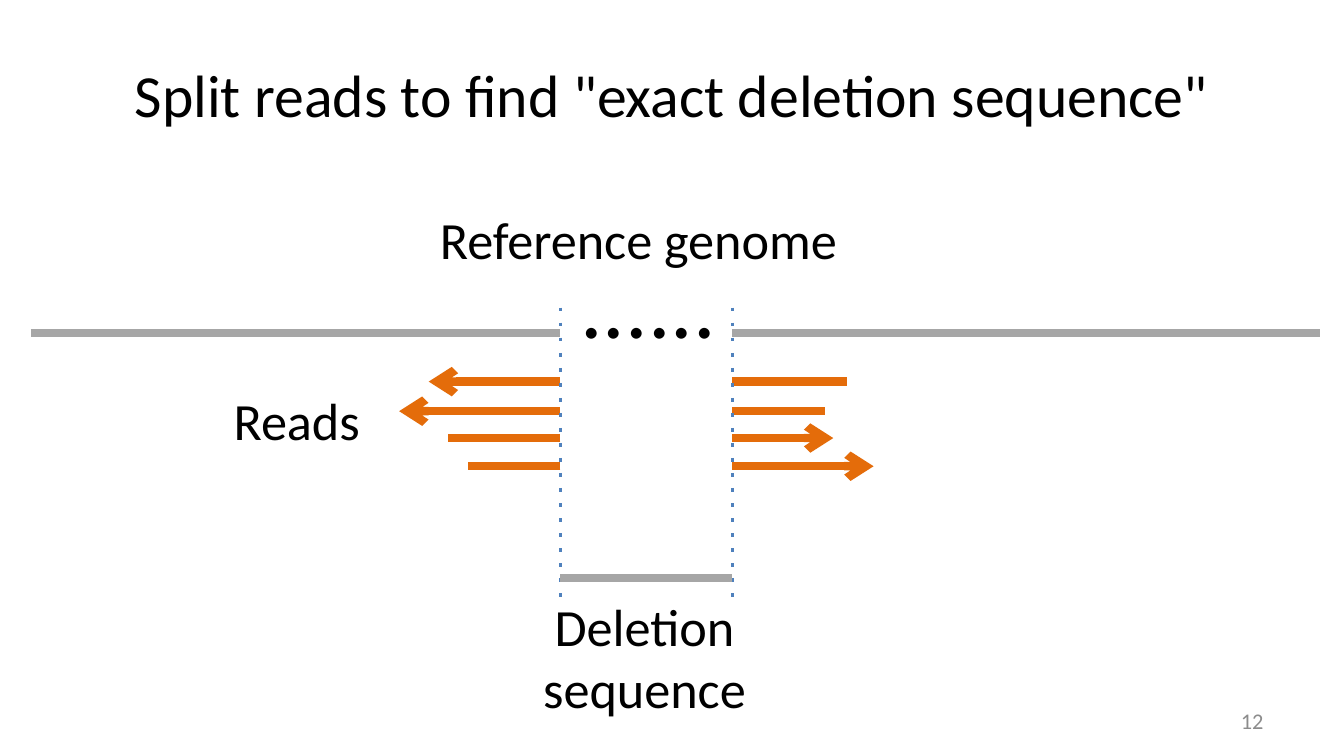
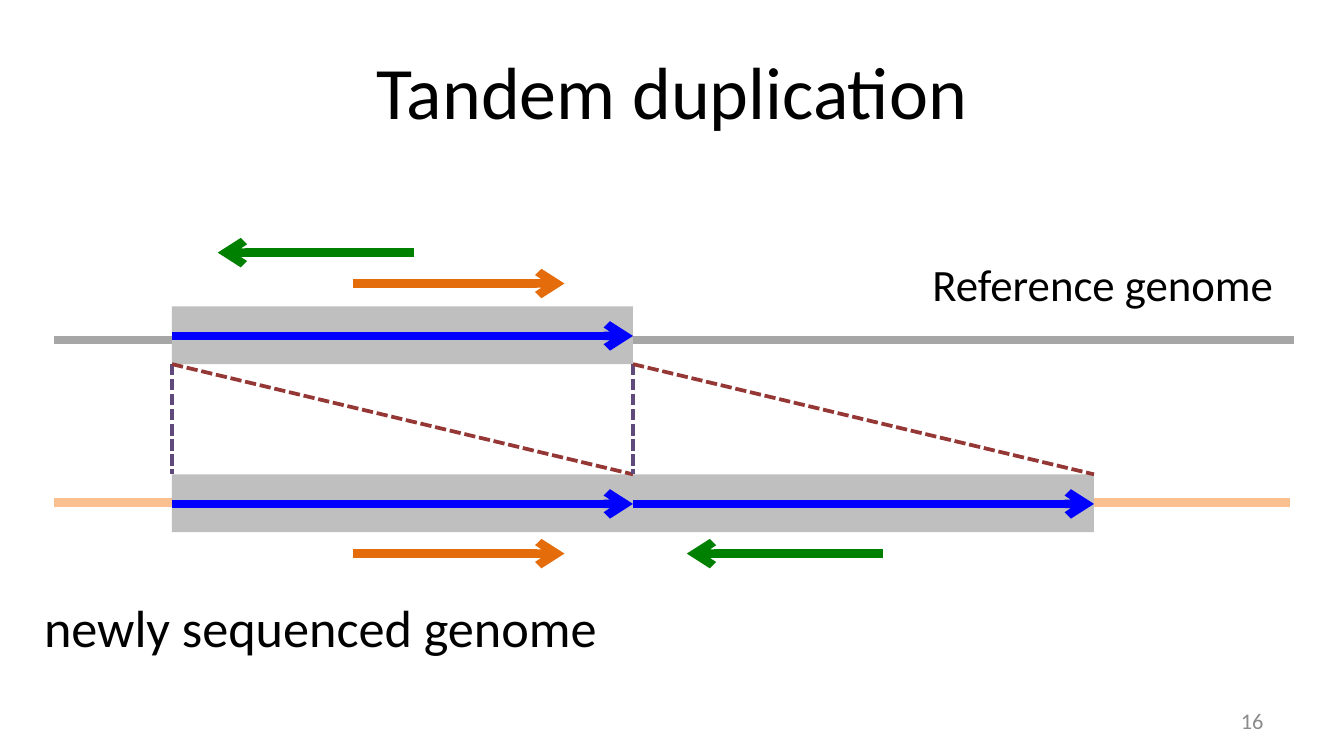
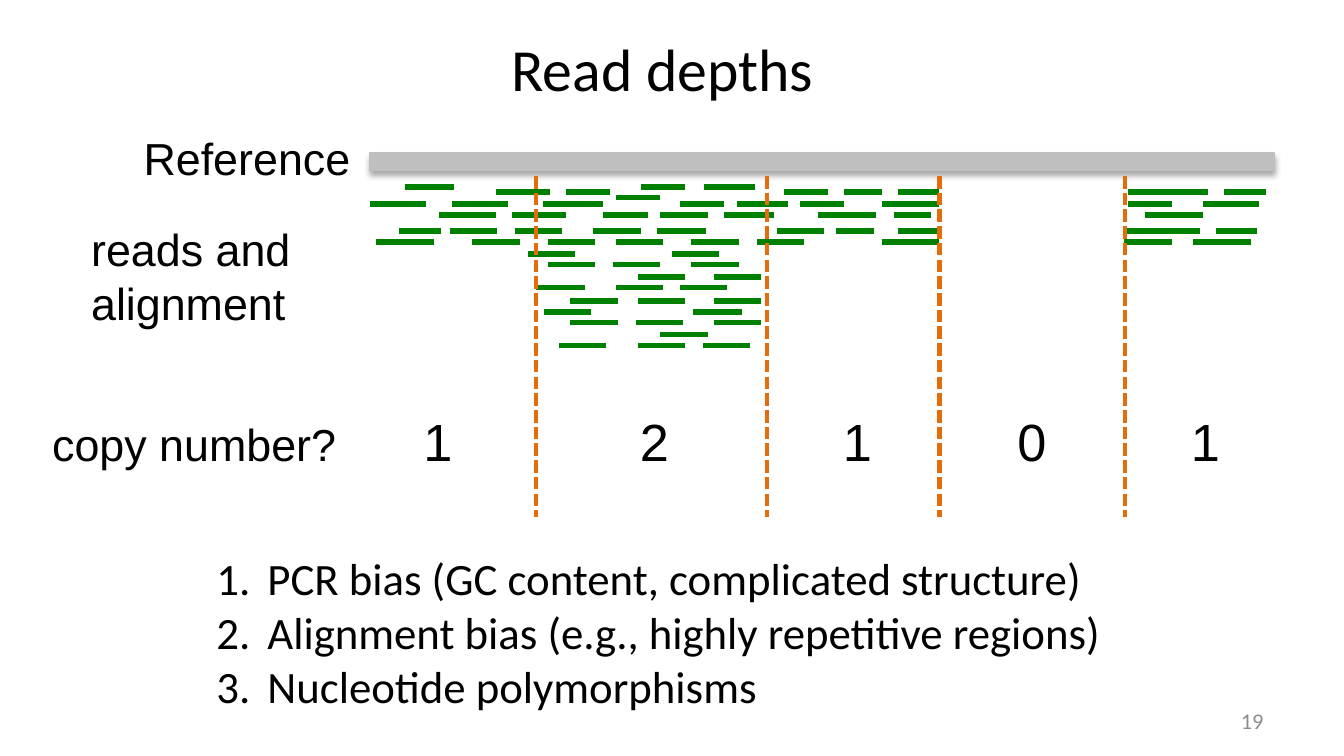
from lxml.etree import SubElement
from pptx import Presentation
from pptx.dml.color import RGBColor
from pptx.enum.shapes import MSO_CONNECTOR, MSO_SHAPE
from pptx.enum.text import MSO_ANCHOR, MSO_AUTO_SIZE, PP_ALIGN
from pptx.oxml.ns import qn
from pptx.util import Cm, Pt

BLACK, MID_GRAY, LIGHT_GRAY = "000000", "A6A6A6", "BFBFBF"
NUMBER_GRAY = "8C8C8C"
ORANGE, PEACH, GREEN, BLUE = "E46C0A", "FAC090", "008000", "0000FF"
STEEL, PURPLE, RED = "4F81BD", "604A7B", "953735"

TITLE_ONLY, TITLE_AND_BODY = 5, 1
THICK = 4.5

# Read start and end positions, by height of the row
READ_ROWS = {
    1.39: [(3.01, 3.38), (4.77, 5.1), (5.24, 5.62)],
    1.43: [(3.69, 4.09), (4.21, 4.54), (5.83, 6.16), (6.28, 6.56), (6.68, 6.99),
           (6.85, 6.99), (8.39, 8.72), (8.71, 8.99), (8.85, 8.99), (9.11, 9.42)],
    1.47: [(4.58, 4.91)],
    1.52: [(2.75, 3.17), (3.36, 3.78), (4.04, 4.49), (5.06, 5.39), (5.48, 5.86),
           (5.95, 6.28), (6.56, 6.99), (8.39, 8.72), (8.95, 9.37)],
    1.6: [(3.27, 3.69), (3.81, 4.21), (4.49, 4.82), (4.91, 5.27), (5.39, 5.76),
          (6.09, 6.52), (6.65, 6.93), (8.52, 8.95)],
    1.72: [(2.97, 3.28), (3.35, 3.7), (3.83, 4.18), (4.41, 4.77), (4.89, 5.25),
           (5.78, 6.13), (6.22, 6.5), (6.68, 6.99), (6.85, 6.99), (8.36, 8.72),
           (8.65, 8.93), (8.79, 8.93), (9.05, 9.35)],
    1.8: [(2.8, 3.23), (3.51, 3.87), (4.08, 4.43), (4.58, 4.93), (5.14, 5.5),
          (5.63, 5.98), (6.56, 6.99), (8.36, 8.72), (8.88, 9.31)],
    1.89: [(3.93, 4.28), (5, 5.35)],
    1.97: [(4.08, 4.43), (4.56, 4.91), (5.14, 5.5)],
    2.06: [(4.75, 5.1), (5.31, 5.66)],
    2.14: [(3.99, 4.35), (4.58, 4.93), (5.06, 5.41)],
    2.24: [(4.24, 4.6), (4.75, 5.1), (5.31, 5.66)],
    2.32: [(4.05, 4.4), (5.16, 5.52)],
    2.4: [(4.24, 4.6), (4.73, 5.08), (5.31, 5.66)],
    2.49: [(4.91, 5.27)],
    2.57: [(4.16, 4.51), (4.75, 5.1), (5.23, 5.58)],
}


def rgb(color):
    return RGBColor.from_string(color)


def grid(units):
    """Length on the slide grid, whose unit is 2.54 cm."""
    return Cm(2.54 * units)


def place(sp, left, top, width, height):
    sp.left, sp.top = grid(left), grid(top)
    sp.width, sp.height = grid(width), grid(height)


def add_run(p, text, size=24, font="Calibri", color=BLACK):
    r = p.add_run()
    r.text = text
    r.font.size, r.font.name = Pt(size), font
    r.font.color.rgb = rgb(color)


def add_text(s, text, left, top, width, height, align=PP_ALIGN.LEFT,
             anchor=MSO_ANCHOR.TOP, wrap=True, **run_format):
    """Add a text box and return its paragraph."""
    tf = s.shapes.add_textbox(*map(grid, (left, top, width, height))).text_frame
    tf.word_wrap, tf.vertical_anchor = wrap, anchor
    p = tf.paragraphs[0]
    p.alignment = align
    add_run(p, text, **run_format)
    return p


def add_line(s, start, end, color, width=THICK, dash=None, arrow=False):
    c = s.shapes.add_connector(MSO_CONNECTOR.STRAIGHT, *map(grid, start + end))
    c.line.color.rgb = rgb(color)
    c.line.width = Pt(width)
    sp_pr = c._element.spPr
    ln = sp_pr.find(qn("a:ln"))
    if dash:
        SubElement(ln, qn("a:prstDash"), val=dash)
    if arrow:
        SubElement(ln, qn("a:tailEnd"), type="arrow")
    SubElement(sp_pr, qn("a:effectLst"))


def add_bar(s, left, top, width, height):
    sp = s.shapes.add_shape(MSO_SHAPE.RECTANGLE,
                            *map(grid, (left, top, width, height)))
    sp.shadow.inherit = False
    sp.fill.solid()
    sp.fill.fore_color.rgb = rgb(LIGHT_GRAY)
    sp.line.fill.background()
    return sp


def add_drop_shadow(sp):
    effects = sp._element.spPr.find(qn("a:effectLst"))
    shadow = SubElement(effects, qn("a:outerShdw"), blurRad=str(Pt(3.1)),
                        dist=str(Pt(1.8)), dir="5400000", rotWithShape="0")
    color = SubElement(shadow, qn("a:srgbClr"), val=BLACK)
    SubElement(color, qn("a:alpha"), val="35000")


def add_slide(prs, title, number, box, size=32, layout=TITLE_ONLY):
    s = prs.slides.add_slide(prs.slide_layouts[layout])
    place(s.shapes.title, *box)
    tf = s.shapes.title.text_frame
    tf.auto_size, tf.vertical_anchor = MSO_AUTO_SIZE.NONE, MSO_ANCHOR.MIDDLE
    p = tf.paragraphs[0]
    p.alignment = PP_ALIGN.CENTER
    add_run(p, title, size=size)
    add_text(s, str(number), 7.17, 5.21, 2.33, 0.3, align=PP_ALIGN.RIGHT,
             anchor=MSO_ANCHOR.MIDDLE, size=12, color=NUMBER_GRAY)
    return s


def fill_numbered_list(sp, items):
    tf = sp.text_frame
    tf.auto_size, tf.vertical_anchor = MSO_AUTO_SIZE.NONE, MSO_ANCHOR.TOP
    for i, item in enumerate(items):
        p = tf.add_paragraph() if i else tf.paragraphs[0]
        p_pr = p._p.get_or_add_pPr()
        p_pr.set("marL", str(grid(0.38)))
        p_pr.set("indent", str(-grid(0.38)))
        SubElement(p_pr, qn("a:buFont"), typeface="+mj-lt")
        SubElement(p_pr, qn("a:buAutoNum"), type="arabicPeriod")
        p.space_before = Pt(0)
        add_run(p, item)


def add_center_tabs(p, positions):
    tabs = SubElement(p._p.get_or_add_pPr(), qn("a:tabLst"))
    for pos in positions:
        SubElement(tabs, qn("a:tab"), pos=str(grid(pos)), algn="ctr")


def split_reads_slide(prs):
    s = add_slide(prs, 'Split reads to find "exact deletion sequence"', 12,
                  (0.5, 0.23, 9, 0.94))
    left, right, genome_y = 4.17, 5.45, 2.48
    add_line(s, (0.23, genome_y), (left, genome_y), MID_GRAY)
    add_line(s, (right, genome_y), (9.82, genome_y), MID_GRAY)
    add_text(s, "......", 4.22, 1.8, 1.22, 0.91, wrap=False, size=48)
    add_text(s, "Reference genome", 2.95, 1.49, 3.6, 0.57,
             align=PP_ALIGN.CENTER, size=28)

    # Row height, outer ends of both parts, and whether the left part has the arrow
    for y, left_end, right_end, left_arrow in [
            (2.84, 3.19, 6.3, True), (3.06, 2.97, 6.14, True),
            (3.26, 3.33, 6.2, False), (3.47, 3.48, 6.5, False)]:
        add_line(s, (left, y), (left_end, y), ORANGE, arrow=left_arrow)
        add_line(s, (right, y), (right_end, y), ORANGE, arrow=not left_arrow)

    for x in (left, right):
        add_line(s, (x, 2.29), (x, 4.52), STEEL, width=2, dash="dot")
    add_line(s, (left, 4.3), (right, 4.3), MID_GRAY)
    add_text(s, "Deletion sequence", 3.87, 4.37, 1.85, 1.04,
             align=PP_ALIGN.CENTER, size=28)
    add_text(s, "Reads", 1.64, 2.84, 1.33, 0.57, size=28)


def tandem_duplication_slide(prs):
    s = add_slide(prs, "Tandem duplication", 16, (0.5, 0.29, 9, 0.76), size=39.6)
    first, length, height = 1.28, 3.43, 0.43
    second = first + length
    upper, lower = 2.28, 3.53
    add_line(s, (0.4, 3.74), (9.6, 3.74), PEACH)
    add_line(s, (0.4, 2.53), (9.63, 2.53), MID_GRAY)
    add_text(s, "Reference genome", 6.84, 1.86, 2.84, 0.5, wrap=False)

    segments = [(first, upper), (first, lower), (second, lower)]
    for x, y in segments:
        add_bar(s, x, y, length, height)
    for x, y in segments:
        add_line(s, (x, y + 0.22), (x + length, y + 0.22), BLUE, arrow=True)
    for x in (first, second):
        top = (x, upper + height)
        add_line(s, top, (x, lower), PURPLE, width=2, dash="sysDash")
        add_line(s, top, (x + length, lower), RED, width=2, dash="sysDash")

    for start, end, y, color in [
            (3.08, 1.62, 1.88, GREEN), (2.63, 4.2, 2.11, ORANGE),
            (2.63, 4.2, 4.12, ORANGE), (6.57, 5.11, 4.12, GREEN)]:
        add_line(s, (start, y), (end, y), color, arrow=True)
    add_text(s, "newly sequenced genome", 0.23, 4.38, 4.36, 0.57,
             wrap=False, size=28)


def read_depths_slide(prs):
    s = add_slide(prs, "Read depths", 19, (0.43, 0.15, 9, 0.7),
                  layout=TITLE_AND_BODY)
    bar = add_bar(s, 2.75, 1.14, 6.73, 0.13)
    bar.line.color.rgb = rgb(LIGHT_GRAY)
    bar.line.width = Pt(0.75)
    add_drop_shadow(bar)

    for y, reads in READ_ROWS.items():
        for start, end in reads:
            add_line(s, (start, y), (end, y), GREEN, width=3)
    for x in (3.99, 5.71, 6.99, 8.37):
        add_line(s, (x, 1.31), (x, 3.85), ORANGE, width=2.25, dash="sysDash")

    add_text(s, "Reference", 0.97, 0.92, 1.76, 0.5, wrap=False, font="Arial")
    add_text(s, "reads and alignment", 0.58, 1.6, 2.19, 0.91, font="Arial")
    p = add_text(s, "copy number?", 0.29, 3, 9.16, 0.57, font="Arial")
    add_center_tabs(p, (2.87, 4.48, 5.99, 7.29, 8.58))
    for copies in "12101":
        add_run(p, "\t" + copies, size=28, font="Arial")

    body = s.placeholders[1]
    place(body, 1.51, 4.05, 6.84, 1.31)
    fill_numbered_list(body, [
        "PCR bias (GC content, complicated structure)",
        "Alignment bias (e.g., highly repetitive regions)",
        "Nucleotide polymorphisms",
    ])


def main():
    prs = Presentation()
    prs.slide_width, prs.slide_height = Cm(25.4), Cm(14.29)
    split_reads_slide(prs)
    tandem_duplication_slide(prs)
    read_depths_slide(prs)
    prs.save("out.pptx")


if __name__ == "__main__":
    main()
